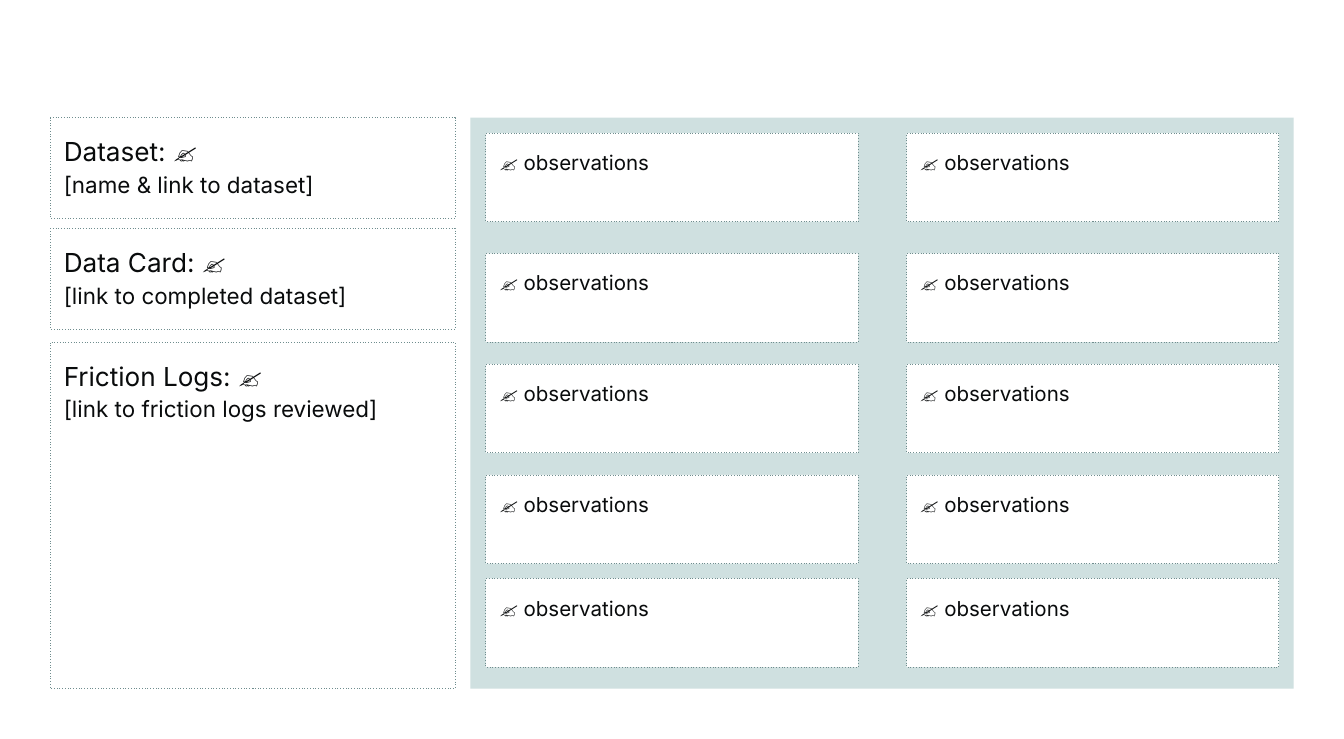
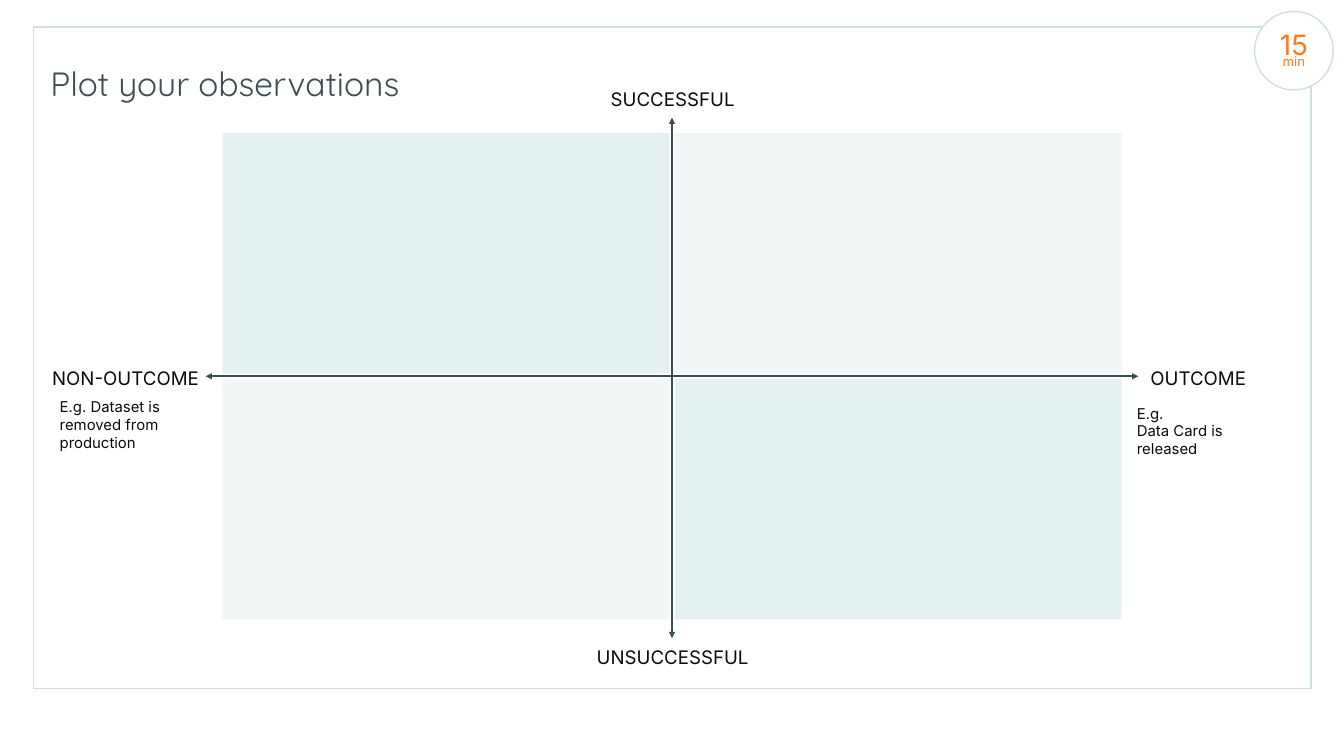
from dataclasses import dataclass
from itertools import product
from typing import NamedTuple

from lxml import etree
from pptx import Presentation
from pptx.dml.color import RGBColor
from pptx.enum.shapes import MSO_CONNECTOR, MSO_SHAPE
from pptx.enum.text import MSO_ANCHOR, PP_ALIGN
from pptx.oxml.ns import qn
from pptx.util import Inches, Pt

RECT, OVAL = MSO_SHAPE.RECTANGLE, MSO_SHAPE.OVAL
STRAIGHT = MSO_CONNECTOR.STRAIGHT
TOP, MIDDLE = MSO_ANCHOR.TOP, MSO_ANCHOR.MIDDLE
LEFT, CENTER, RIGHT = PP_ALIGN.LEFT, PP_ALIGN.CENTER, PP_ALIGN.RIGHT
TITLE_ONLY, BLANK = 5, 6


@dataclass(frozen=True)
class Theme:
    white: str = "FFFFFF"
    mist: str = "CFE0E0"
    tint: str = "E5F1F1"
    pale: str = "F1F7F7"
    edge: str = "6F8D8E"
    slate: str = "3C4F50"
    ink: str = "090B0C"
    orange: str = "FF7B19"
    body: str = "Inter"
    head: str = "Quicksand"
    title: int = 36
    count: int = 30
    label: int = 28
    hint: int = 24
    note: int = 22
    axis: int = 20
    small: int = 16
    unit: int = 14


T = Theme()


class Box(NamedTuple):
    x: float
    y: float
    w: float
    h: float

    def emu(self) -> list:
        return [Inches(v) for v in self]


class Line(NamedTuple):
    text: str
    size: int


class Card(NamedTuple):
    box: Box
    lines: tuple


class Tag(NamedTuple):
    box: Box
    line: Line
    align: PP_ALIGN


class Pad(NamedTuple):
    left: float
    top: float
    right: float
    bottom: float


WIDE, SLIM, NONE = Pad(*[0.2] * 4), Pad(*[0.1] * 4), Pad(*[0] * 4)

# Observation sheet
SIDE_X, SIDE_W = 0.75, 6.02
CARDS = (
    Card(Box(SIDE_X, 1.75, SIDE_W, 1.5),
         (Line("Dataset: ✍️", T.label), Line("[name & link to dataset]", T.hint))),
    Card(Box(SIDE_X, 3.4, SIDE_W, 1.5),
         (Line("Data Card: ✍️", T.label), Line("[link to completed dataset]", T.hint))),
    Card(Box(SIDE_X, 5.09, SIDE_W, 5.16),
         (Line("Friction Logs: ✍️", T.label),
          Line("[link to friction logs reviewed]", T.hint))),
)
PANEL = Box(7, 1.75, 12.25, 8.5)
NOTE_X, NOTE_STEP, NOTE_W, NOTE_H = 7.23, 6.26, 5.54, 1.32
NOTE_ROWS = (1.98, 3.77, 5.42, 7.07, 8.61)
NOTE = (Line("✍️ observations", T.note),)

# Quadrant chart
MID_X, MID_Y, GAP = 10, 5.6, 0.08
QUAD_W, QUAD_H = 6.65, 3.58
REACH = 6.94
TAGS = (
    Tag(Box(0.67, 5.35, 2.39, 0.54), Line("NON-OUTCOME", T.axis), RIGHT),
    Tag(Box(8.25, 9.51, 3.52, 0.54), Line("UNSUCCESSFUL", T.axis), CENTER),
    Tag(Box(8.25, 1.21, 3.52, 0.54), Line("SUCCESSFUL", T.axis), CENTER),
    Tag(Box(17.02, 5.35, 1.96, 0.54), Line("OUTCOME", T.axis), LEFT),
    Tag(Box(16.82, 5.97, 2.17, 0.89), Line("E.g.\nData Card is released", T.small), LEFT),
    Tag(Box(0.79, 6.05, 2.39, 0.54),
        Line("E.g. Dataset is removed from production", T.small), LEFT),
)


def rgb(code: str) -> RGBColor:
    return RGBColor.from_string(code)


def write(shape, lines, pad=SLIM, color=T.ink, face=T.body, align=LEFT,
          anchor=MIDDLE, space=1.0) -> None:
    frame = shape.text_frame
    frame.word_wrap = True
    frame.vertical_anchor = anchor
    frame.margin_left, frame.margin_top, frame.margin_right, frame.margin_bottom = map(Inches, pad)
    for i, line in enumerate(lines):
        para = frame.add_paragraph() if i else frame.paragraphs[0]
        para.text = line.text
        para.alignment = align
        para.line_spacing = space
        para.font.size = Pt(line.size)
        para.font.name = face
        para.font.color.rgb = rgb(color)


def style(shape, tag: str, **values: str) -> None:
    """Add a dash or arrowhead element to an outline that is already set."""
    etree.SubElement(shape._element.spPr.find(qn("a:ln")), qn(tag), values)


def draw(slide, kind, box: Box, fill: str, edge: str = "", width: float = 1.5):
    shape = slide.shapes.add_shape(kind, *box.emu())
    shape.shadow.inherit = False
    shape.fill.solid()
    shape.fill.fore_color.rgb = rgb(fill)
    if edge:
        shape.line.color.rgb = rgb(edge)
        shape.line.width = Pt(width)
    else:
        shape.line.fill.background()
    return shape


def card(slide, box: Box, lines) -> None:
    shape = draw(slide, RECT, box, T.white, T.edge, 0.75)
    style(shape, "a:prstDash", val="dot")
    write(shape, lines, WIDE, anchor=TOP, space=1.15)


def axis(slide, *ends: float) -> None:
    line = slide.shapes.add_connector(STRAIGHT, *map(Inches, ends))
    line.line.color.rgb = rgb(T.slate)
    line.line.width = Pt(2.25)
    for tag in ("a:headEnd", "a:tailEnd"):
        style(line, tag, type="triangle")
    etree.SubElement(line._element.spPr, qn("a:effectLst"))


def head(slide, text: str) -> None:
    title = slide.shapes.title
    title.left, title.top, title.width, title.height = Box(0.75, 0.74, 18.5, 1).emu()
    write(title, [Line(text, T.title)], NONE, T.slate, T.head)
    slide.shapes._spTree.append(title._element)  # bring in front of the frame


def badge(slide, count: str, unit: str) -> None:
    shape = draw(slide, OVAL, Box(18.67, 0.17, 1.17, 1.17), T.white, T.mist)
    write(shape, [Line(count, T.count), Line(unit, T.unit)], Pad(0.1, 0.1, 0.1, 0),
          T.orange, align=CENTER, space=0.6)


def sheet(deck) -> None:
    slide = deck.slides.add_slide(deck.slide_layouts[BLANK])
    draw(slide, RECT, PANEL, T.mist)
    for item in CARDS:
        card(slide, item.box, item.lines)
    for y, col in product(NOTE_ROWS, range(2)):
        card(slide, Box(NOTE_X + col * NOTE_STEP, y, NOTE_W, NOTE_H), NOTE)


def plot(deck) -> None:
    slide = deck.slides.add_slide(deck.slide_layouts[TITLE_ONLY])
    draw(slide, RECT, Box(0.5, 0.4, 19.01, 9.85), T.white, T.mist)
    for col, row in product(range(2), repeat=2):
        x = MID_X + GAP / 2 if col else MID_X - GAP / 2 - QUAD_W
        y = MID_Y + GAP / 2 if row else MID_Y - GAP / 2 - QUAD_H
        draw(slide, RECT, Box(x, y, QUAD_W, QUAD_H), T.tint if col == row else T.pale)
    axis(slide, MID_X, 1.75, MID_X, 9.5)
    axis(slide, MID_X + REACH, MID_Y, MID_X - REACH, MID_Y)
    head(slide, "Plot your observations")
    badge(slide, "15", "min")
    for tag in TAGS:
        write(slide.shapes.add_textbox(*tag.box.emu()), [tag.line], align=tag.align)


def main() -> None:
    deck = Presentation()
    deck.slide_width, deck.slide_height = Inches(20), Inches(11)
    sheet(deck)
    plot(deck)
    deck.save("out.pptx")


if __name__ == "__main__":
    main()
